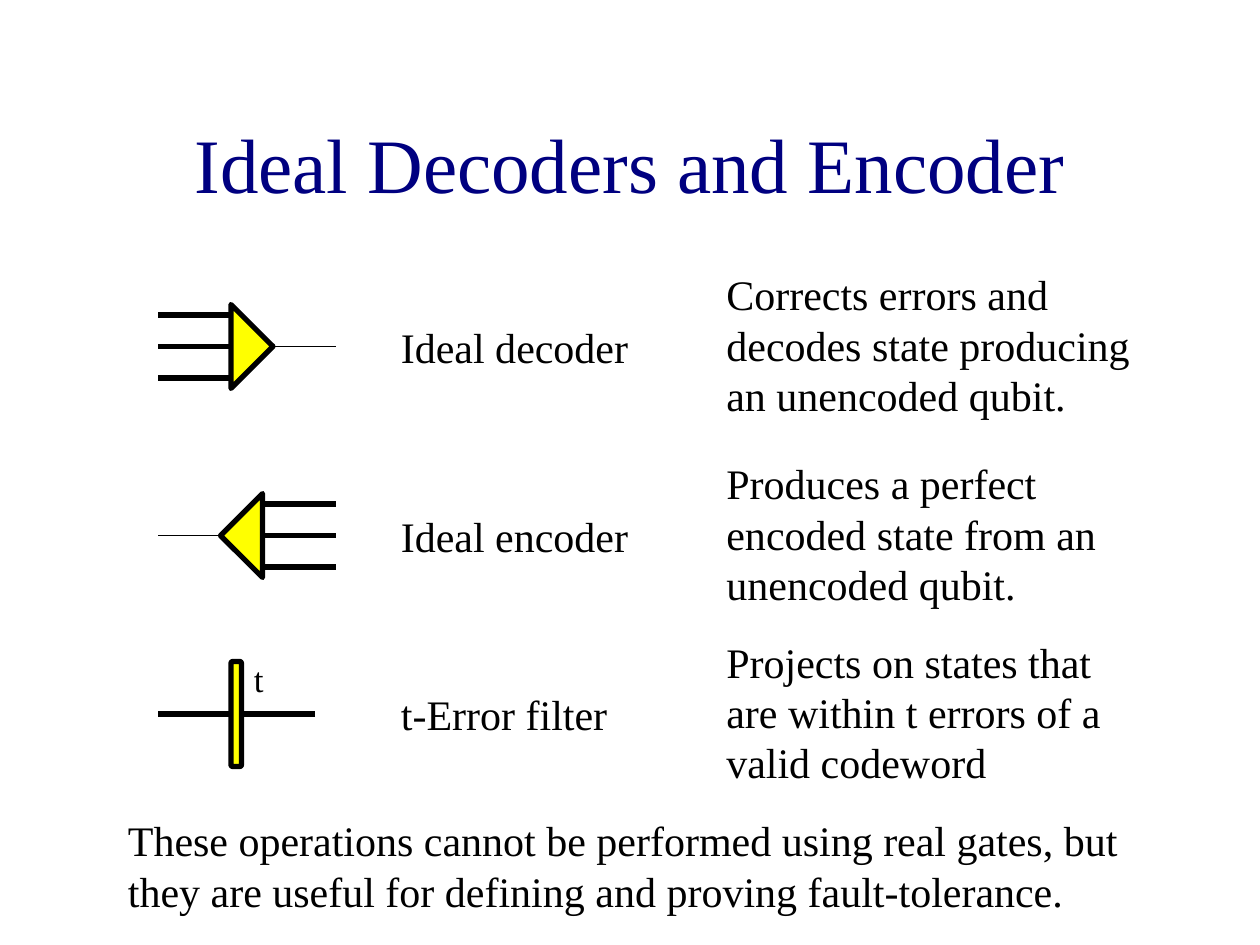
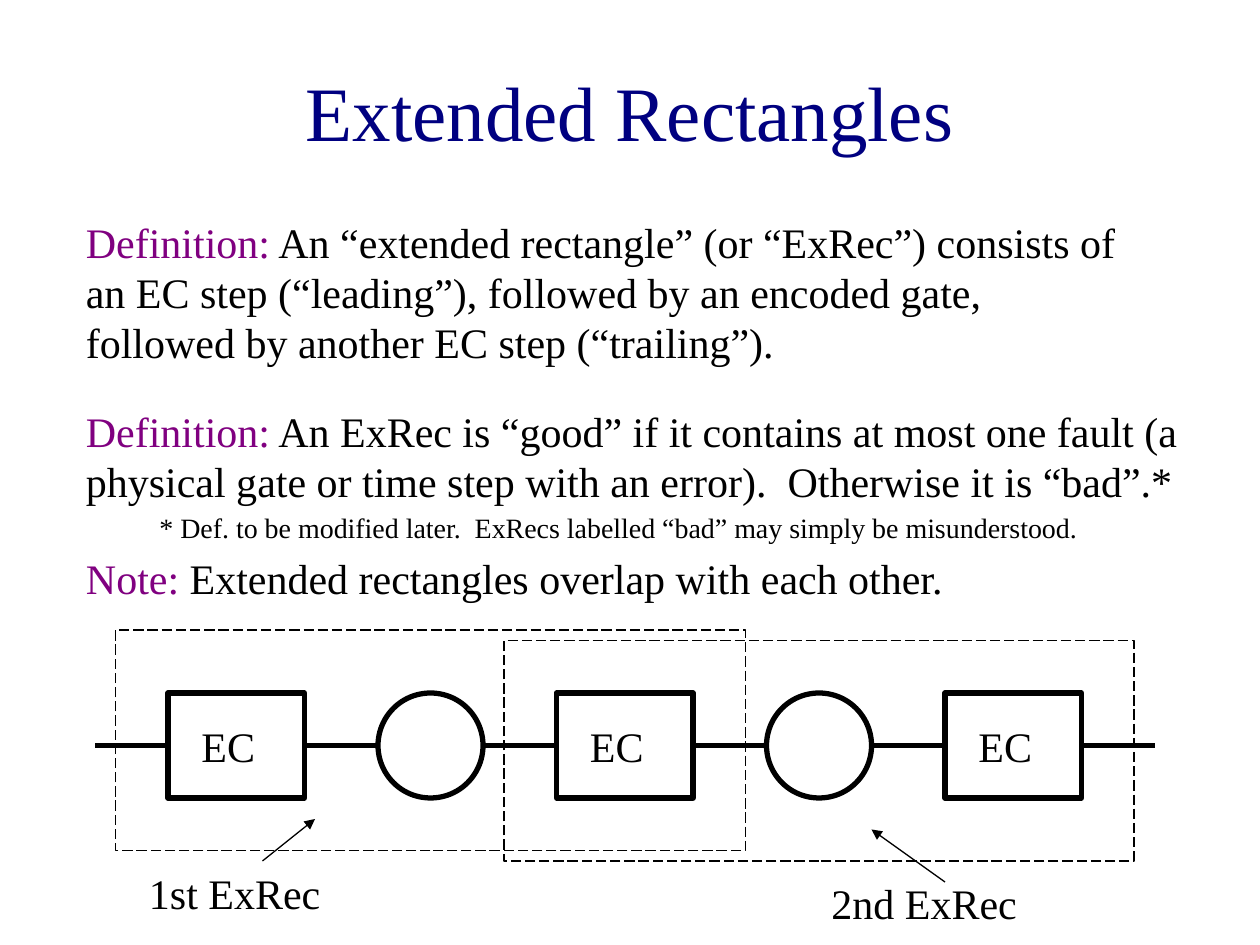
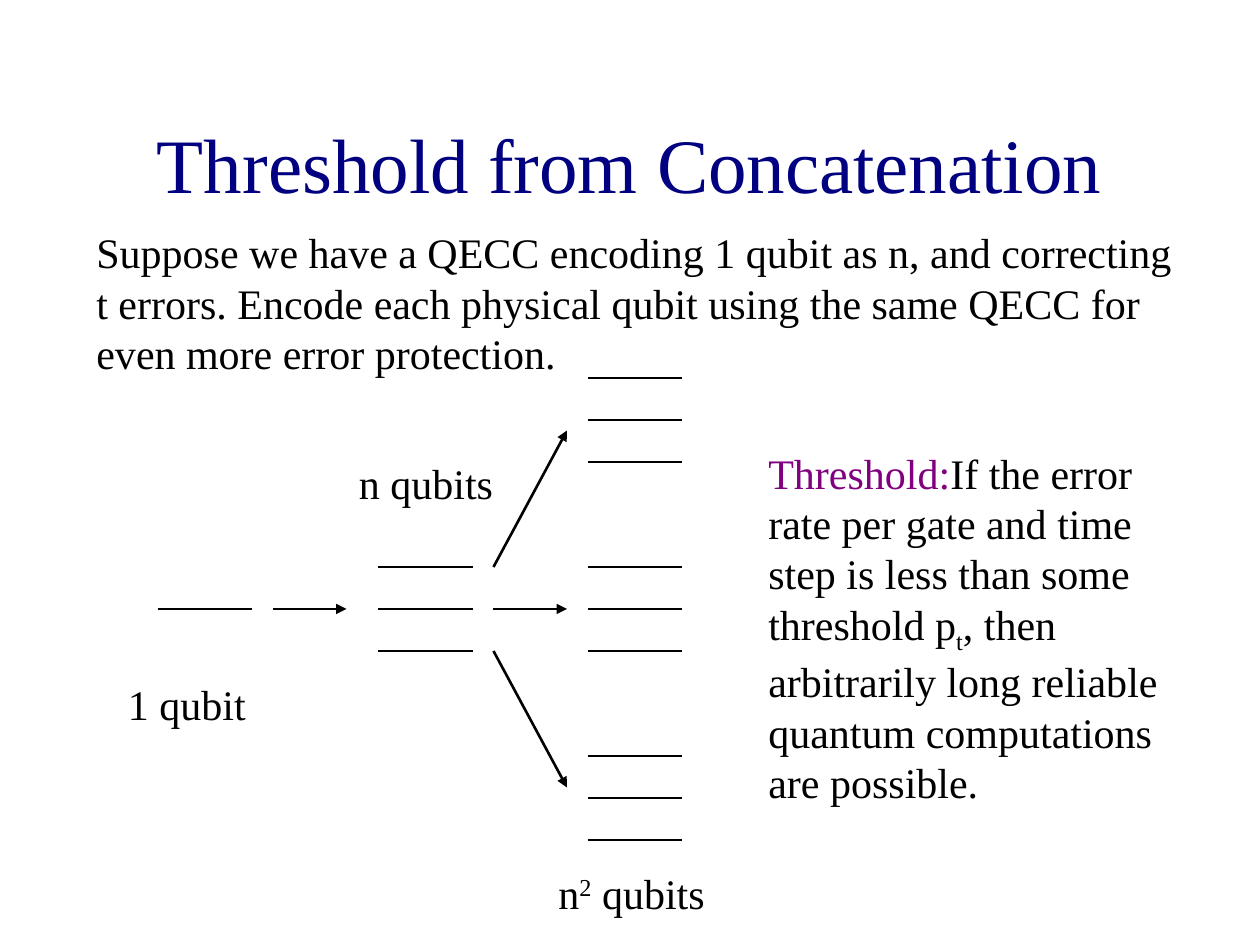
from pptx import Presentation
from pptx.dml.color import RGBColor
from pptx.enum.dml import MSO_LINE
from pptx.enum.shapes import MSO_CONNECTOR, MSO_SHAPE as SHAPE
from pptx.enum.text import MSO_ANCHOR as ANCHOR, PP_ALIGN as ALIGN
from pptx.oxml.ns import qn
from pptx.util import Pt
from lxml.etree import SubElement

COLORS = {"title": "000080", "term": "800080", "ink": "000000",
          "gate": "FFFF00", "paper": "FFFFFF"}
FONT = "Times New Roman"
HEAVY, ARROW, THIN, HAIR = 3, 1.5, 1, 0.75
LINE_HEIGHT = 36


def color(name):
    return RGBColor.from_string(COLORS[name])


def add_text(slide, text, left, top, width, height=LINE_HEIGHT, size=24,
             ink="ink", align=ALIGN.LEFT, anchor=ANCHOR.TOP):
    """Add a text box; text is a string or a list of (text, colour, baseline) runs."""
    box = slide.shapes.add_textbox(Pt(left), Pt(top), Pt(width), Pt(height))
    frame = box.text_frame
    frame.word_wrap = True
    frame.vertical_anchor = anchor
    paragraph = frame.paragraphs[0]
    paragraph.alignment = align
    runs = [(text, ink, 0)] if isinstance(text, str) else text
    for words, run_ink, baseline in runs:
        run = paragraph.add_run()
        run.text = words
        run.font.name = FONT
        run.font.size = Pt(size)
        run.font.color.rgb = color(run_ink)
        if baseline:
            run.font.color  # colour is set before the baseline shift
            run._r.get_or_add_rPr().set("baseline", str(baseline * 1000))


def add_term(slide, term, words, *box):
    add_text(slide, [(term, "term", 0), (words, "ink", 0)], *box)


def add_title(slide, text, top=48):
    add_text(slide, text, 54, top, 612, 90, size=44, ink="title",
             align=ALIGN.CENTER, anchor=ANCHOR.MIDDLE)


def add_line(slide, x1, y1, x2, y2, weight=HEAVY, arrow=False):
    line = slide.shapes.add_connector(
        MSO_CONNECTOR.STRAIGHT, Pt(x1), Pt(y1), Pt(x2), Pt(y2))
    line.line.color.rgb = color("ink")
    line.line.width = Pt(weight)
    properties = line._element.spPr
    if arrow:
        SubElement(properties.find(qn("a:ln")), qn("a:tailEnd"), type="triangle")
    SubElement(properties, qn("a:effectLst"))


def add_outline(slide, kind, left, top, width, height, fill=None,
                weight=HEAVY, dash=None):
    shape = slide.shapes.add_shape(kind, Pt(left), Pt(top), Pt(width), Pt(height))
    shape.shadow.inherit = False
    if fill:
        shape.fill.solid()
        shape.fill.fore_color.rgb = color(fill)
    else:
        shape.fill.background()
    shape.line.color.rgb = color("ink")
    shape.line.width = Pt(weight)
    if dash:
        shape.line.dash_style = dash
    return shape


def draw_coder(slide, left, middle, mirrored=False):
    """Draw a decoder (three wires in, one out) or, mirrored, an encoder."""
    span, base, tip, half = 102, 42, 66, 24

    def across(x):
        return left + (span - x if mirrored else x)

    for offset in (-18, 0, 18):
        add_line(slide, across(base), middle + offset, across(0), middle + offset)
    add_line(slide, across(tip), middle, across(span), middle, THIN)
    center, depth = across((base + tip) / 2), tip - base
    triangle = add_outline(slide, SHAPE.ISOSCELES_TRIANGLE, center - half,
                           middle - depth / 2, 2 * half, depth, "gate")
    triangle.rotation = 270 if mirrored else 90


def draw_encoder(slide, left, middle):
    draw_coder(slide, left, middle, mirrored=True)


def draw_filter(slide, left, middle):
    wire, bar = 42, 6
    add_line(slide, left + wire, middle, left, middle)
    add_outline(slide, SHAPE.ROUNDED_RECTANGLE, left + wire, middle - 30, bar, 60, "gate")
    add_line(slide, left + 2 * wire + bar, middle, left + wire + bar, middle)
    add_text(slide, "t", left + wire + bar, middle - 36, 24, 32, size=20)


def add_operation(slide, top, draw_symbol, name, description, width):
    draw_symbol(slide, 90, top + 48)
    add_text(slide, name, 222, top + 30, 162)
    add_text(slide, description, 408, top, width, 94)


def build_operations(slide):
    add_title(slide, "Ideal Decoders and Encoder")
    add_operation(slide, 150, draw_coder, "Ideal decoder",
                  "Corrects errors and decodes state producing an unencoded qubit.", 264)
    add_operation(slide, 258, draw_encoder, "Ideal encoder",
                  "Produces a perfect encoded state from an unencoded qubit.", 264)
    add_operation(slide, 360, draw_filter, "t-Error filter",
                  "Projects on states that are within t errors of a valid codeword", 252)
    add_text(slide, "These operations cannot be performed using real gates, but they "
             "are useful for defining and proving fault-tolerance.", 66, 462, 600, 65)


def draw_circuit(slide, left, top):
    """Draw EC steps and encoded gates in turn, joined by wires of equal length."""
    wire, step, gate = 42, 78, 60
    middle = top + gate / 2
    x = left
    for part in ("EC", "gate", "EC", "gate", "EC"):
        add_line(slide, x + wire, middle, x, middle)
        x += wire
        if part == "EC":
            add_outline(slide, SHAPE.RECTANGLE, x, top, step, gate)
            add_text(slide, part, x + 12, top + 12, 48)
            x += step
        else:
            add_outline(slide, SHAPE.OVAL, x, top, gate, gate)
            x += gate
    add_line(slide, x + wire, middle, x, middle)


def build_rectangles(slide):
    add_title(slide, "Extended Rectangles", 18)
    add_term(slide, "Definition:", " An “extended rectangle” (or “ExRec”) consists of an "
             "EC step (“leading”), followed by an encoded gate, followed by another "
             "EC step (“trailing”).", 42, 120, 606, 94)
    add_term(slide, "Definition:", " An ExRec is “good” if it contains at most one fault "
             "(a physical gate or time step with an error).  Otherwise it is “bad”.*",
             42, 228, 648, 65)
    add_term(slide, "Note:", " Extended rectangles overlap with each other.", 42, 312, 624)
    draw_circuit(slide, 54, 396)
    for left, top in ((288, 366), (66, 360)):
        add_outline(slide, SHAPE.RECTANGLE, left, top, 360, 126,
                    weight=HAIR, dash=MSO_LINE.LONG_DASH)
    add_text(slide, "1st ExRec", 78, 492, 126)
    add_text(slide, "2nd ExRec", 468, 498, 162)
    add_line(slide, 150, 492, 180, 468, HAIR, arrow=True)
    add_line(slide, 540, 504, 498, 474, HAIR, arrow=True)
    add_text(slide, "* Def. to be modified later.  ExRecs labelled “bad” may simply "
             "be misunderstood.", 84, 288, 558, 27, size=16)


def draw_qubits(slide, left, middle, count=3):
    gap, width = 24, 54
    for index in range(count):
        y = middle + (index - (count - 1) / 2) * gap
        add_line(slide, left, y, left + width, y, THIN)


def draw_concatenation(slide, left, middle):
    block_gap = 108
    arrow = 42
    draw_qubits(slide, left, middle, count=1)
    draw_qubits(slide, left + 126, middle)
    add_line(slide, left + 66, middle, left + 66 + arrow, middle, ARROW, arrow=True)
    for side in (-1, 0, 1):
        draw_qubits(slide, left + 246, middle + side * block_gap)
        add_line(slide, left + 192, middle + side * 24,
                 left + 192 + arrow, middle + side * 102, ARROW, arrow=True)


def build_threshold(slide):
    add_title(slide, "Threshold from Concatenation")
    draw_concatenation(slide, 90, 348)
    add_text(slide, "Suppose we have a QECC encoding 1 qubit as n, and correcting t "
             "errors. Encode each physical qubit using the same QECC for even more "
             "error protection.", 48, 126, 636, 94)
    add_text(slide, "1 qubit", 66, 384, 90)
    add_text(slide, "n qubits", 198, 258, 102)
    add_text(slide, [("n", "ink", 0), ("2", "ink", 30), (" qubits", "ink", 0)],
             312, 492, 108)
    add_text(slide, [("Threshold:", "term", 0),
                     ("If the error rate per gate and time step is less than some "
                      "threshold p", "ink", 0),
                     ("t", "ink", -25),
                     (", then arbitrarily long reliable quantum computations are "
                      "possible.", "ink", 0)], 432, 252, 252, 213)


def main():
    presentation = Presentation()
    presentation.slide_width, presentation.slide_height = Pt(720), Pt(540)
    blank = presentation.slide_layouts[6]
    for build in (build_operations, build_rectangles, build_threshold):
        slide = presentation.slides.add_slide(blank)
        slide.background.fill.solid()
        slide.background.fill.fore_color.rgb = color("paper")
        build(slide)
    presentation.save("out.pptx")


if __name__ == "__main__":
    main()
